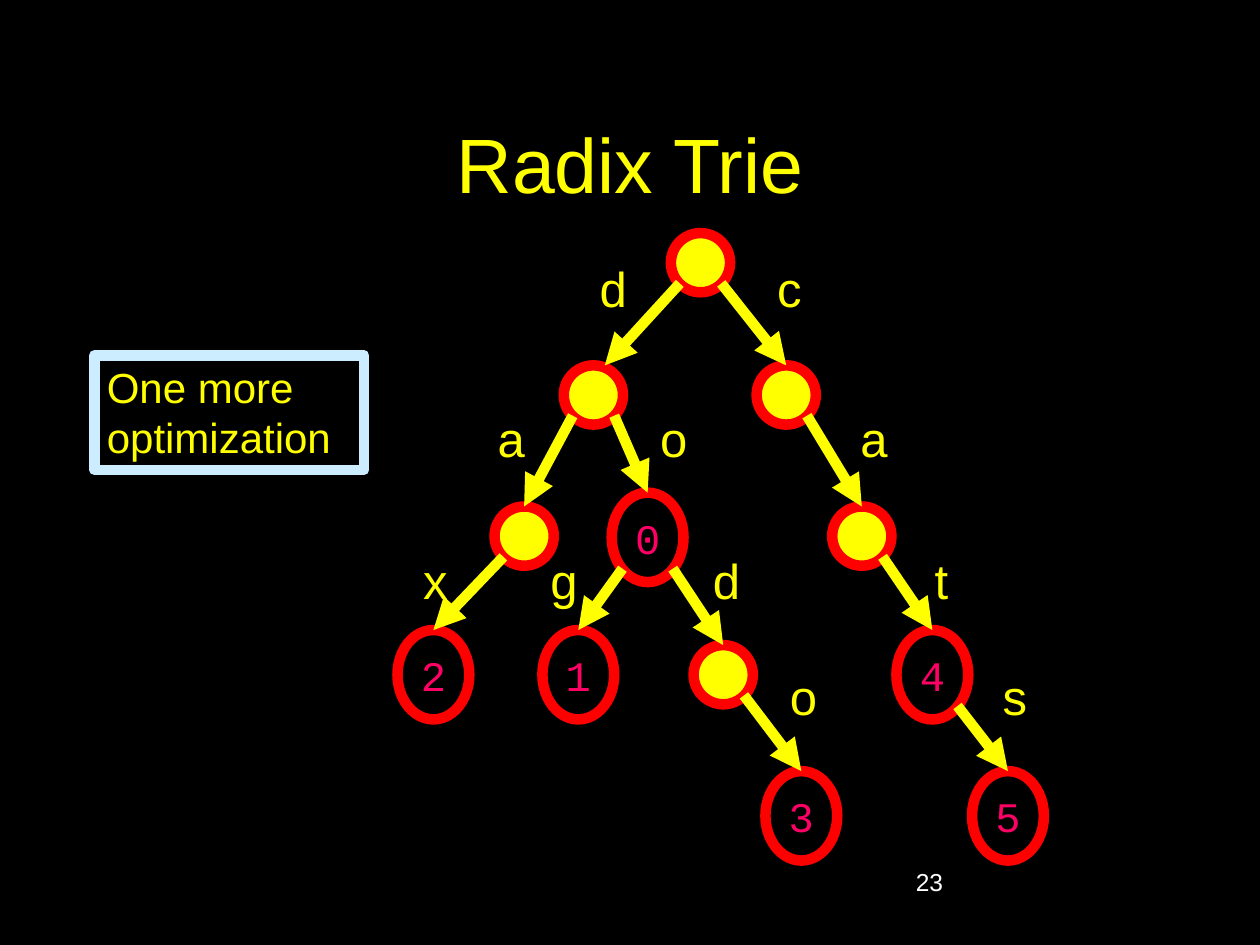
from pptx import Presentation
from pptx.dml.color import RGBColor
from pptx.enum.shapes import MSO_CONNECTOR, MSO_SHAPE
from pptx.enum.text import MSO_ANCHOR, PP_ALIGN
from pptx.oxml.ns import qn
from pptx.util import Inches, Pt
from lxml.etree import SubElement

YELLOW, RED, BLACK = "FFFF00", "FF0000", "000000"


def color(code):
    return RGBColor.from_string(code)


def write(shape, text, size, code, face="Arial"):
    shape.text_frame.text = text
    para = shape.text_frame.paragraphs[0]
    para.font.size = Pt(size)
    para.font.name = face
    para.font.color.rgb = color(code)
    return para


deck = Presentation()
deck.slide_width, deck.slide_height = Inches(10), Inches(7.5)
slide = deck.slides.add_slide(deck.slide_layouts[5])
slide.background.fill.solid()
slide.background.fill.fore_color.rgb = color(BLACK)
shapes = slide.shapes

# Title
title = shapes.title
title.left, title.top = Inches(0.75), Inches(0.67)
title.width, title.height = Inches(8.5), Inches(1.25)
title.text_frame.vertical_anchor = MSO_ANCHOR.MIDDLE
write(title, "Radix Trie", 44, YELLOW).alignment = PP_ALIGN.CENTER

# Slide number
number = shapes.add_textbox(Inches(7.17), Inches(6.83), Inches(2.08), Inches(0.5))
number.text_frame.word_wrap = True
write(number, "23", 14, "FFFFFF")

# Framed remark
note = shapes.add_shape(MSO_SHAPE.RECTANGLE, Inches(0.75), Inches(2.82),
                        Inches(2.14), Inches(0.91))
note.shadow.inherit = False
note.fill.solid()
note.fill.fore_color.rgb = color(BLACK)
note.line.color.rgb = color("CCECFF")
note.line.width = Pt(6)
note.text_frame.vertical_anchor = MSO_ANCHOR.TOP
write(note, "One more optimization", 24, YELLOW).alignment = PP_ALIGN.LEFT

# Nodes by prefix: centre x, top, value (inner nodes have none)
nodes = {
    "": (5.56, 1.85, ""),
    "d": (4.71, 2.9, ""),
    "c": (6.24, 2.9, ""),
    "da": (4.16, 4.02, ""),
    "do": (5.14, 3.91, "0"),
    "ca": (6.84, 4.02, ""),
    "dax": (3.44, 5, "2"),
    "dog": (4.59, 5, "1"),
    "dod": (5.74, 5.12, ""),
    "cat": (7.4, 5, "4"),
    "dodo": (6.36, 6.12, "3"),
    "cats": (8, 6.12, "5"),
}
ovals = {}
for key, (mid, top, value) in nodes.items():
    wide, high = (0.57, 0.71) if value else (0.47, 0.47)
    oval = shapes.add_shape(MSO_SHAPE.OVAL, Inches(mid - wide / 2), Inches(top),
                            Inches(wide), Inches(high))
    oval.shadow.inherit = False
    oval.fill.solid()
    oval.fill.fore_color.rgb = color(BLACK if value else YELLOW)
    oval.line.color.rgb = color(RED)
    oval.line.width = Pt(6)
    if value:
        frame = oval.text_frame
        frame.word_wrap = False
        frame.vertical_anchor = MSO_ANCHOR.MIDDLE
        para = write(oval, value, 24, "FF0066", "Courier New")
        para.alignment = PP_ALIGN.CENTER
    ovals[key] = oval

# Edges: from a lower corner of the parent to the top of the child
for key, child in ovals.items():
    if not key:
        continue
    base = ovals[key[:-1]]
    side = 1 if nodes[key][0] > nodes[key[:-1]][0] else -1
    left = base.left + base.width * (0.5 + side * 0.35)
    low = base.top + base.height * 0.85
    edge = shapes.add_connector(MSO_CONNECTOR.STRAIGHT, int(left), int(low),
                                Inches(4.8), child.top)
    if key != "d":  # this one meets its node right of the middle
        edge.end_connect(child, 0)
    edge.line.color.rgb = color(YELLOW)
    edge.line.width = Pt(6)
    SubElement(edge.line._get_or_add_ln(), qn("a:tailEnd"), type="triangle")
    SubElement(edge._element.spPr, qn("a:effectLst"))

# Edge letters: one row per depth, left edge of each
rows = [
    (2, [("d", 4.66), ("c", 6.07)]),
    (3.19, [("a", 3.85), ("o", 5.14), ("a", 6.73)]),
    (4.32, [("x", 3.26), ("g", 4.27), ("d", 5.56), ("t", 7.32)]),
    (5.24, [("o", 6.17), ("s", 7.86)]),
]
widths = {"t": 0.31, "c": 0.4, "s": 0.4, "x": 0.4}
for top, row in rows:
    for char, left in row:
        label = shapes.add_textbox(Inches(left), Inches(top),
                                   Inches(widths.get(char, 0.42)), Inches(0.57))
        label.text_frame.word_wrap = False
        write(label, char, 28, YELLOW)

deck.save("out.pptx")
